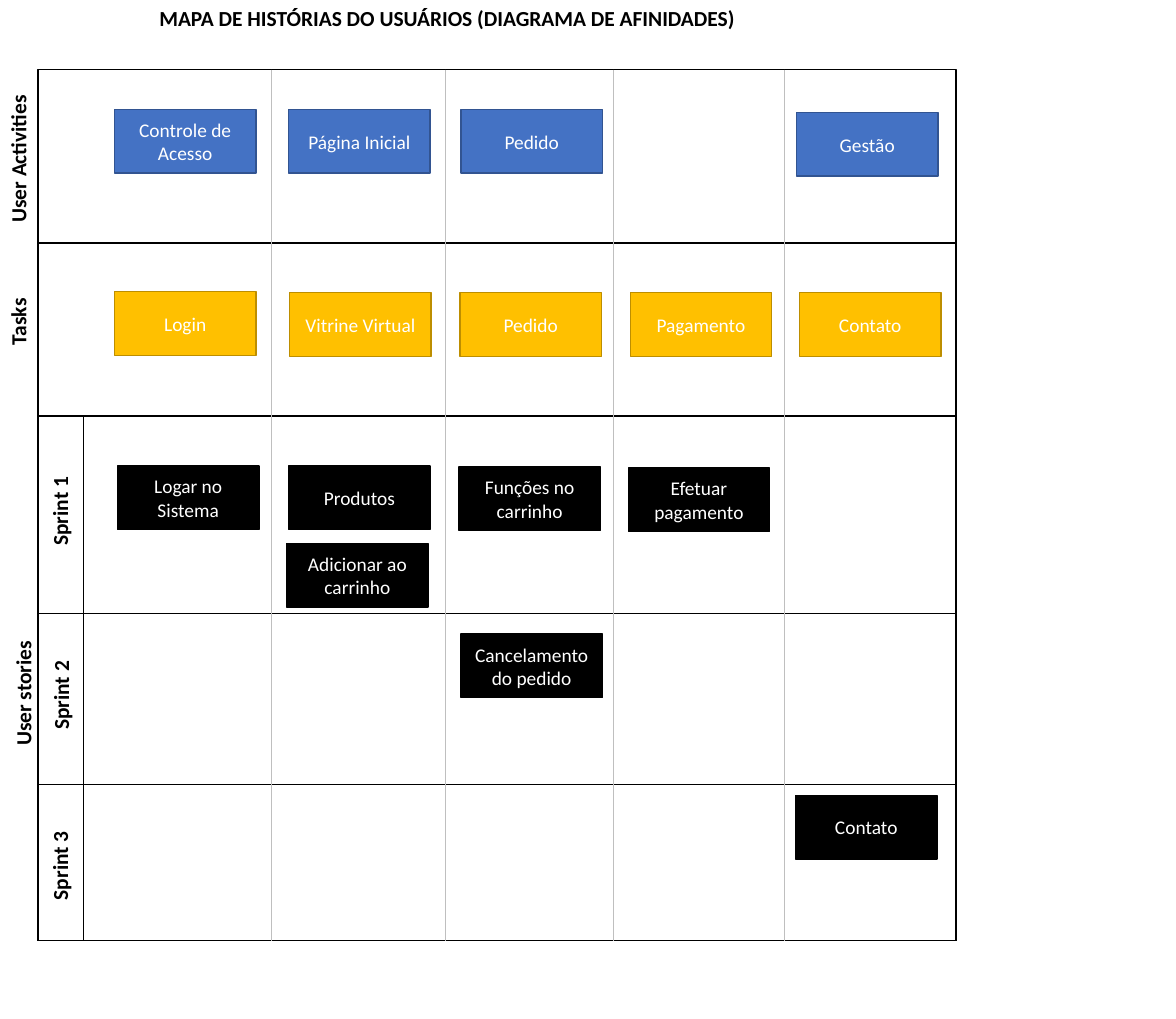
import pptx
import pptx.util
import pptx.dml.color
import pptx.enum.shapes
import pptx.enum.text
import pptx.oxml.ns
import lxml.etree

Inches = pptx.util.Inches
Pt = pptx.util.Pt

HEADING = "MAPA DE HISTÓRIAS DO USUÁRIOS (DIAGRAMA DE AFINIDADES)"
COLORS = {
    "ink": "000000", "paper": "FFFFFF", "divider": "BFBFBF",
    "activity": "4472C4", "activity edge": "325491",
    "task": "FFC000", "task edge": "BD8E00",
    "story": "000000", "story edge": "000000",
}
CARDS = {
    "activity": [("Controle de Acesso", 1.15, 1.1), ("Página Inicial", 2.9, 1.1),
                 ("Pedido", 4.63, 1.1), ("Gestão", 8, 1.13)],
    "task": [("Login", 1.15, 2.93), ("Vitrine Virtual", 2.91, 2.94),
             ("Pedido", 4.62, 2.94), ("Pagamento", 6.33, 2.94),
             ("Contato", 8.03, 2.94)],
    "story": [("Logar no Sistema", 1.18, 4.68), ("Produtos", 2.9, 4.68),
              ("Adicionar ao carrinho", 2.88, 5.46),
              ("Funções no carrinho", 4.61, 4.69),
              ("Efetuar pagamento", 6.31, 4.7),
              ("Cancelamento do pedido", 4.63, 6.37), ("Contato", 7.99, 7.99)],
}
ROW_LABELS = [
    ("User Activities", 0.18, 1.59, 1.49), ("Tasks", 0.18, 3.23, 0.67),
    ("User stories", 0.23, 6.96, 1.26), ("Sprint 1", 0.6, 5.13, 0.9),
    ("Sprint 2", 0.61, 6.98, 0.9), ("Sprint 3", 0.6, 8.69, 0.9),
]
MAP_LEFT, MAP_TOP, MAP_RIGHT, MAP_BOTTOM = 0.38, 0.7, 9.6, 9.45
TASKS_TOP, STORIES_TOP, SPRINT_2_TOP, SPRINT_3_TOP = 2.44, 4.18, 6.16, 7.88
SPRINTS_LEFT = 0.84
FRAMES = [
    (MAP_LEFT, MAP_TOP, TASKS_TOP), (MAP_LEFT, TASKS_TOP, STORIES_TOP),
    (MAP_LEFT, STORIES_TOP, MAP_BOTTOM), (MAP_LEFT, SPRINT_2_TOP, MAP_BOTTOM),
    (MAP_LEFT, SPRINT_3_TOP, MAP_BOTTOM), (SPRINTS_LEFT, STORIES_TOP, MAP_BOTTOM),
]
DIVIDERS = [2.73, 4.47, 6.16, 7.88]
CARD_WIDTH, CARD_HEIGHT, LABEL_HEIGHT = 1.42, 0.64, 0.36
CARD_FONT = {"name": "Calibri", "size": Pt(14), "bold": False}
LABEL_FONT = {"name": "Calibri", "size": Pt(15.5), "bold": True}


def rgb(color):
    return pptx.dml.color.RGBColor.from_string(COLORS[color])


def write(holder, wording, font_values, color, align, wrap):
    frame = holder.text_frame
    frame.text = wording
    frame_values = {"word_wrap": wrap,
                    "auto_size": pptx.enum.text.MSO_AUTO_SIZE.NONE}
    for attribute, value in frame_values.items():
        setattr(frame, attribute, value)
    paragraph = frame.paragraphs[0]
    paragraph.alignment = align
    font = paragraph.runs[0].font
    for attribute, value in font_values.items():
        setattr(font, attribute, value)
    font.color.rgb = rgb(color)


def outline(part, color, width):
    part.line.color.rgb = rgb(color)
    part.line.width = Pt(width)


def add_box(slide, left, top, width, height, edge, fill=None):
    box = slide.shapes.add_shape(
        pptx.enum.shapes.MSO_SHAPE.RECTANGLE,
        Inches(left), Inches(top), Inches(width), Inches(height))
    box.shadow.inherit = False
    outline(box, edge, 1)
    if fill:
        box.fill.solid()
        box.fill.fore_color.rgb = rgb(fill)
    else:
        box.fill.background()
    return box


def main():
    align = pptx.enum.text.PP_ALIGN
    deck = pptx.Presentation()
    deck.slide_width = pptx.util.Cm(30)
    deck.slide_height = pptx.util.Cm(26)
    slide = deck.slides.add_slide(deck.slide_layouts[5])

    heading = slide.shapes.title
    place = {"left": 1.5, "top": 0, "width": 6.04, "height": LABEL_HEIGHT}
    for attribute, value in place.items():
        setattr(heading, attribute, Inches(value))
    write(heading, HEADING, LABEL_FONT, "ink", align.LEFT, True)

    for left, top, bottom in FRAMES:
        add_box(slide, left, top, MAP_RIGHT - left, bottom - top, "ink")

    for x in DIVIDERS:
        divider = slide.shapes.add_connector(
            pptx.enum.shapes.MSO_CONNECTOR.STRAIGHT,
            Inches(x), Inches(MAP_TOP), Inches(x), Inches(MAP_BOTTOM))
        outline(divider, "divider", 0.5)
        lxml.etree.SubElement(divider._element.spPr,
                              pptx.oxml.ns.qn("a:effectLst"))

    for wording, center_x, center_y, width in ROW_LABELS:
        label = slide.shapes.add_textbox(
            Inches(center_x - width / 2), Inches(center_y - LABEL_HEIGHT / 2),
            Inches(width), Inches(LABEL_HEIGHT))
        label.rotation = 270
        write(label, wording, LABEL_FONT, "ink", align.LEFT, False)

    for kind, cards in CARDS.items():
        for wording, left, top in cards:
            card = add_box(slide, left, top, CARD_WIDTH, CARD_HEIGHT,
                           kind + " edge", kind)
            write(card, wording, CARD_FONT, "paper", align.CENTER, True)

    deck.save("out.pptx")


if __name__ == "__main__":
    main()
